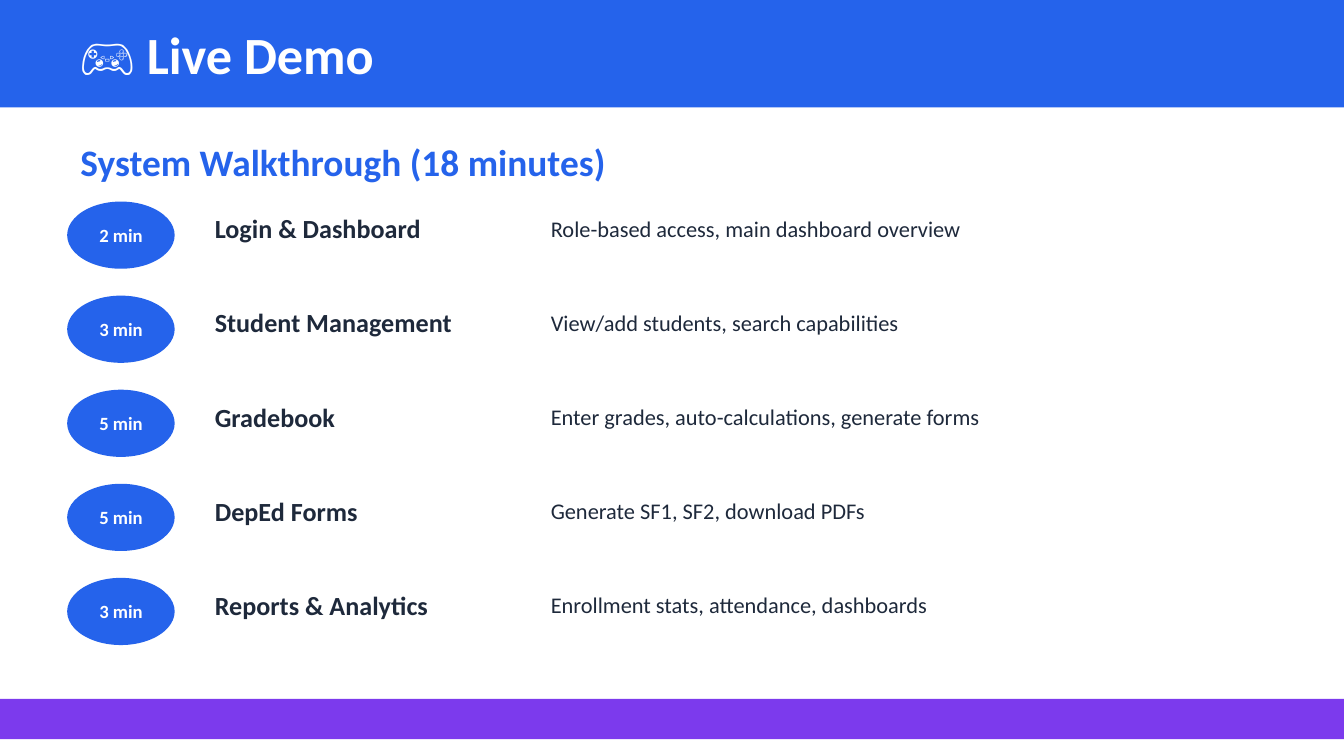
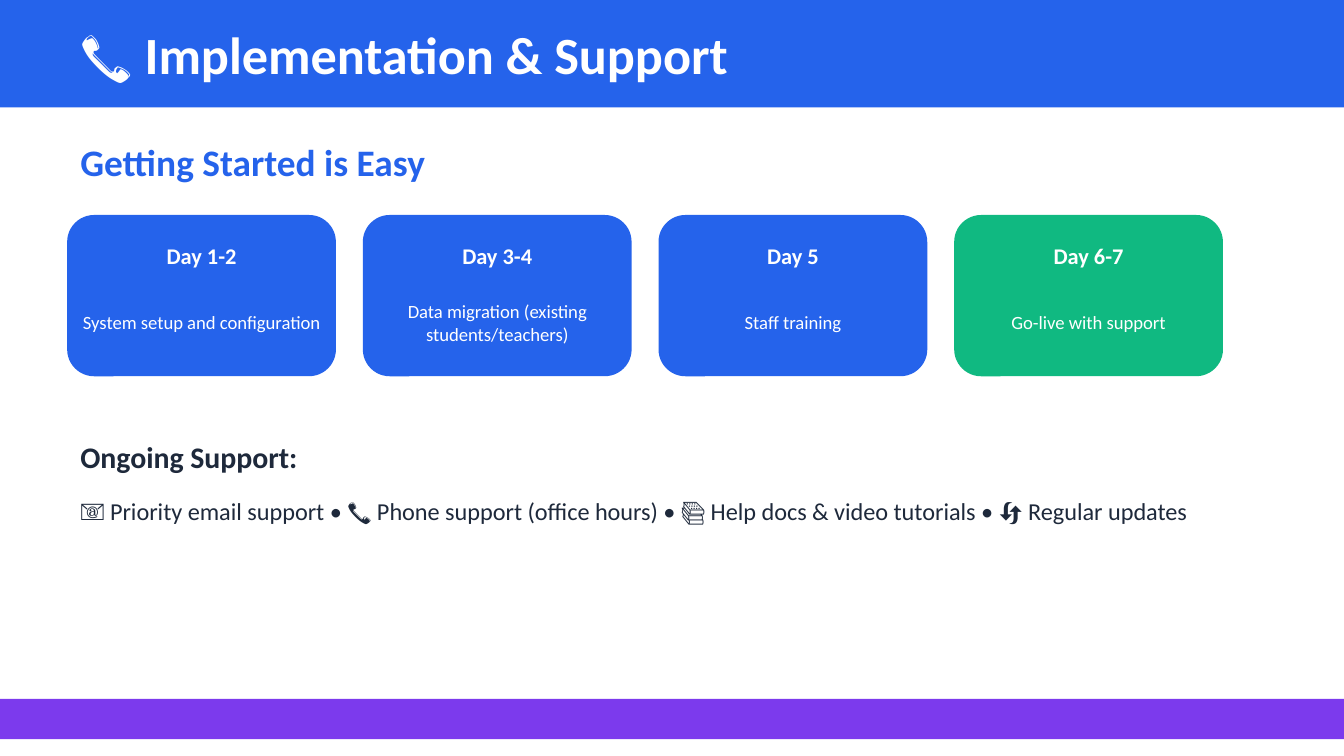
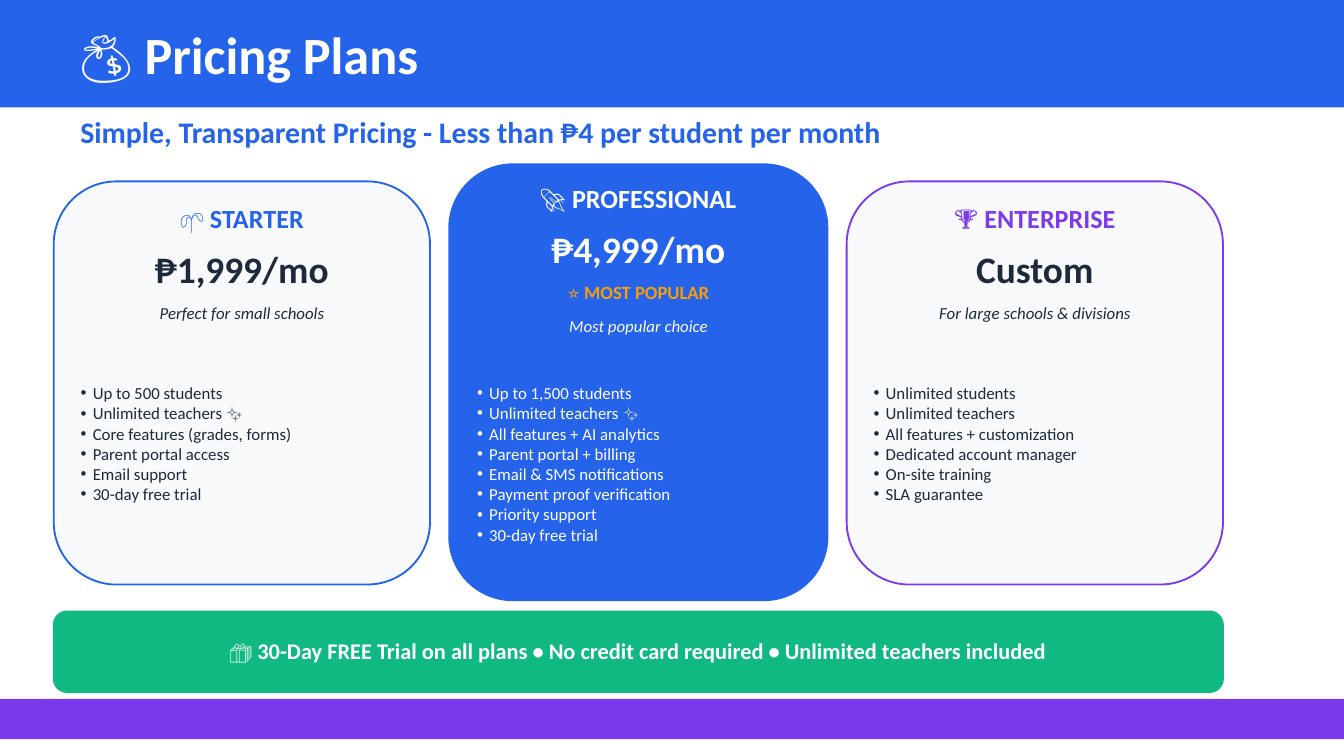
from dataclasses import dataclass
from typing import NamedTuple, Optional

from lxml.etree import SubElement
from pptx import Presentation
from pptx.dml.color import RGBColor
from pptx.enum.shapes import MSO_SHAPE
from pptx.enum.text import MSO_ANCHOR, MSO_AUTO_SIZE, PP_ALIGN
from pptx.oxml.ns import qn
from pptx.util import Emu, Pt

PX = 9144  # 100 px to the inch
SEP = " • "  # bullet between en spaces


# Theme
@dataclass(frozen=True)
class Theme:
    font: str = "Calibri"
    blue: str = "2563EB"
    purple: str = "7C3AED"
    green: str = "10B981"
    amber: str = "F59E0B"
    ink: str = "1E293B"
    white: str = "FFFFFF"
    pale: str = "F8FAFC"
    title: int = 28
    heading: int = 20
    subheading: int = 16
    name: int = 14
    support: int = 13
    text: int = 12
    small: int = 10
    fine: int = 9


T = Theme()


class Box(NamedTuple):
    x: int
    y: int
    w: int
    h: int


class Style(NamedTuple):
    size: int
    color: str
    bold: bool = False
    italic: bool = False
    align: PP_ALIGN = PP_ALIGN.LEFT


class Step(NamedTuple):
    time: str
    name: str
    detail: str


class Phase(NamedTuple):
    days: str
    task: str
    fill: str = T.blue


@dataclass(frozen=True)
class Plan:
    name: str
    price: str
    note: str
    features: list[str]
    accent: str
    card: Box
    name_y: int
    list_box: Box
    line: int = 1
    fill: str = T.pale
    name_color: str = T.blue
    text_color: str = T.ink
    note_color: str = T.ink
    badge: Optional[str] = None


# Shared drawing functions
def px(n: int) -> Emu:
    return Emu(n * PX)


def set_all(obj, values: dict) -> None:
    for key, value in values.items():
        setattr(obj, key, value)


def place(sp, box: Box) -> None:
    set_all(sp, dict(zip(("left", "top", "width", "height"), map(px, box))))


def add_bullet(p) -> None:
    pPr = p._p.get_or_add_pPr()
    pPr.set("marL", str(px(9)))
    pPr.set("indent", str(px(-9)))
    SubElement(pPr, qn("a:buChar")).set("char", "•")


def write(sp, lines: list[str], style: Style, bullets: bool = False) -> None:
    tf = sp.text_frame
    set_all(tf, {"word_wrap": True, "auto_size": MSO_AUTO_SIZE.NONE,
                 "vertical_anchor": MSO_ANCHOR.MIDDLE})
    for i, line in enumerate(lines):
        p = tf.add_paragraph() if i else tf.paragraphs[0]
        set_all(p, {"alignment": style.align, "space_before": Pt(0)})
        if bullets:
            add_bullet(p)
        r = p.add_run()
        r.text = line
        set_all(r.font, {"name": T.font, "size": Pt(style.size),
                         "bold": style.bold, "italic": style.italic})
        r.font.color.rgb = RGBColor.from_string(style.color)


def add_text(slide, box: Box, text: str, style: Style) -> None:
    write(slide.shapes.add_textbox(*map(px, box)), [text], style)


def add_block(slide, kind: MSO_SHAPE, box: Box, fill: str,
              line: Optional[str] = None, width: int = 1):
    sp = slide.shapes.add_shape(kind, *map(px, box))
    sp.shadow.inherit = False
    sp.fill.solid()
    sp.fill.fore_color.rgb = RGBColor.from_string(fill)
    if line:
        sp.line.color.rgb = RGBColor.from_string(line)
        sp.line.width = Pt(width)
    else:
        sp.line.fill.background()
    return sp


def add_master_bands(prs, slide) -> None:
    bands = [(Box(0, 0, 1000, 80), T.blue), (Box(0, 520, 1000, 30), T.purple)]
    for i, (box, fill) in enumerate(bands):
        sp = add_block(slide, MSO_SHAPE.RECTANGLE, box, fill)
        sp.element.nvSpPr.cNvPr.set("id", str(20 + i))
        prs.slide_master.shapes.element.append(sp.element)


def add_slide(prs, layout: str, title: str):
    slide = prs.slides.add_slide(prs.slide_layouts.get_by_name(layout))
    place(slide.shapes.title, Box(50, 15, 900, 50))
    write(slide.shapes.title, [title], Style(T.title, T.white, True))
    return slide


def centred(size: int, color: str, bold: bool = False, italic: bool = False) -> Style:
    return Style(size, color, bold, italic, PP_ALIGN.CENTER)


HEADING = Style(T.heading, T.blue, True)
HEADING_BOX = Box(50, 100, 900, 40)

# Content
STEPS = [
    Step("2 min", "Login & Dashboard", "Role-based access, main dashboard overview"),
    Step("3 min", "Student Management", "View/add students, search capabilities"),
    Step("5 min", "Gradebook", "Enter grades, auto-calculations, generate forms"),
    Step("5 min", "DepEd Forms", "Generate SF1, SF2, download PDFs"),
    Step("3 min", "Reports & Analytics", "Enrollment stats, attendance, dashboards"),
]
PHASES = [
    Phase("Day 1-2", "System setup and configuration"),
    Phase("Day 3-4", "Data migration (existing students/teachers)"),
    Phase("Day 5", "Staff training"),
    Phase("Day 6-7", "Go-live with support", T.green),
]
SUPPORT = ["📧 Priority email support", "📞 Phone support (office hours)",
           "📚 Help docs & video tutorials", "🔄 Regular updates"]
PLANS = [
    Plan("🌱 STARTER", "₱1,999/mo", "Perfect for small schools",
         ["Up to 500 students", "Unlimited teachers ✨",
          "Core features (grades, forms)", "Parent portal access",
          "Email support", "30-day free trial"],
         T.blue, Box(40, 135, 280, 300), 145, Box(50, 250, 260, 160)),
    Plan("🚀 PROFESSIONAL", "₱4,999/mo", "Most popular choice",
         ["Up to 1,500 students", "Unlimited teachers ✨",
          "All features + AI analytics", "Parent portal + billing",
          "Email & SMS notifications", "Payment proof verification",
          "Priority support", "30-day free trial"],
         T.blue, Box(335, 123, 280, 323), 130, Box(345, 255, 260, 180),
         line=2, fill=T.blue, name_color=T.white, text_color=T.white,
         note_color=T.pale, badge="⭐ MOST POPULAR"),
    Plan("🏆 ENTERPRISE", "Custom", "For large schools & divisions",
         ["Unlimited students", "Unlimited teachers",
          "All features + customization", "Dedicated account manager",
          "On-site training", "SLA guarantee"],
         T.purple, Box(630, 135, 280, 300), 145, Box(640, 250, 260, 160),
         name_color=T.purple),
]
OFFER = ["🎁 30-Day FREE Trial on all plans", "No credit card required",
         "Unlimited teachers included"]


# Slides
def build_demo(prs) -> None:
    slide = add_slide(prs, "Title Only", "🎮 Live Demo")
    add_master_bands(prs, slide)
    add_text(slide, HEADING_BOX, "System Walkthrough (18 minutes)", HEADING)
    for i, step in enumerate(STEPS):
        y = 150 + 70 * i
        add_block(slide, MSO_SHAPE.OVAL, Box(50, y, 80, 50), T.blue)
        add_text(slide, Box(50, y + 5, 80, 40), step.time,
                 centred(T.small, T.white, True))
        add_text(slide, Box(150, y, 250, 40), step.name, Style(T.name, T.ink, True))
        add_text(slide, Box(400, y, 500, 40), step.detail, Style(T.text, T.ink))


def build_support(prs) -> None:
    slide = add_slide(prs, "Title Only", "📞 Implementation & Support")
    add_text(slide, HEADING_BOX, "Getting Started is Easy", HEADING)
    for i, phase in enumerate(PHASES):
        x = 50 + 220 * i
        add_block(slide, MSO_SHAPE.ROUNDED_RECTANGLE, Box(x, 160, 200, 120), phase.fill)
        add_text(slide, Box(x, 170, 200, 40), phase.days,
                 centred(T.text, T.white, True))
        add_text(slide, Box(x, 210, 200, 60), phase.task, centred(T.small, T.white))
    add_text(slide, Box(50, 320, 900, 40), "Ongoing Support:",
             Style(T.subheading, T.ink, True))
    add_text(slide, Box(50, 360, 900, 40), SEP.join(SUPPORT), Style(T.support, T.ink))


def add_plan(slide, plan: Plan, body) -> None:
    add_block(slide, MSO_SHAPE.ROUNDED_RECTANGLE, plan.card, plan.fill,
              plan.accent, plan.line)
    rows = [
        (plan.name, 35, centred(T.name, plan.name_color, True)),
        (plan.price, 40, centred(T.heading, plan.text_color, True)),
        (plan.badge, 25, centred(T.small, T.amber, True)),
        (plan.note, 25, centred(T.fine, plan.note_color, italic=True)),
    ]
    y = plan.name_y
    for text, h, style in rows:
        if text:
            add_text(slide, Box(plan.card.x, y, plan.card.w, h), text, style)
            y += h
    # Bring the feature list in front of its card
    slide.shapes.element.append(body.element)
    place(body, plan.list_box)
    write(body, plan.features, Style(T.fine, plan.text_color), bullets=True)


def build_pricing(prs) -> None:
    slide = add_slide(prs, "Comparison", "💰 Pricing Plans")
    add_text(slide, Box(50, 78, 900, 40),
             "Simple, Transparent Pricing - Less than ₱4 per student per month",
             Style(T.subheading, T.blue, True))
    _, *bodies = slide.placeholders
    for plan, body in zip(PLANS, bodies):
        add_plan(slide, plan, body)
    for spare in bodies[len(PLANS):]:
        slide.shapes.element.remove(spare.element)
    add_block(slide, MSO_SHAPE.ROUNDED_RECTANGLE, Box(40, 455, 870, 60),
              T.green, T.green)
    add_text(slide, Box(40, 459, 870, 50), SEP.join(OFFER),
             centred(T.text, T.white, True))


def main() -> None:
    prs = Presentation()
    prs.slide_width = px(1000)
    prs.slide_height = Emu(px(1000) * 9 // 16)
    for build in (build_demo, build_support, build_pricing):
        build(prs)
    prs.save("out.pptx")


if __name__ == "__main__":
    main()
